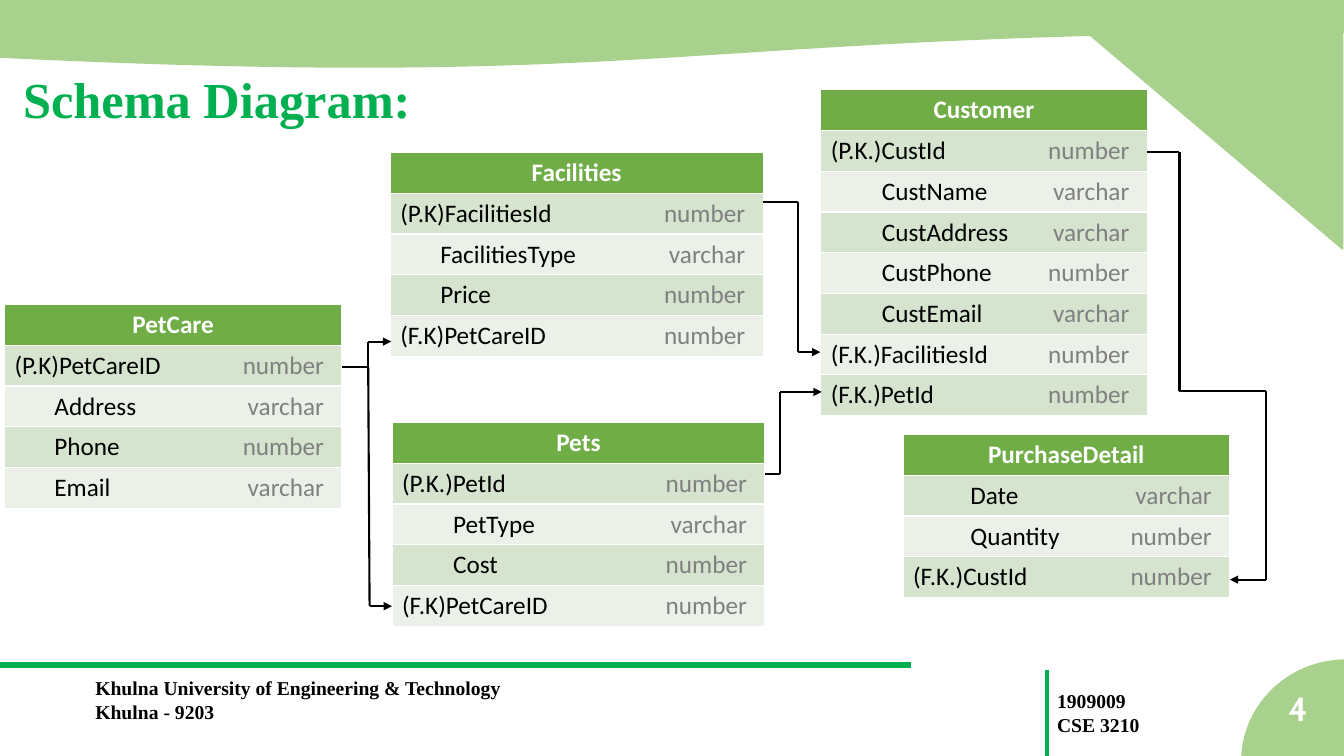
"""Build the schema diagram slide of the pet care database."""
from itertools import pairwise
from lxml import etree
from pptx import Presentation
from pptx.dml.color import RGBColor
from pptx.enum import shapes, text
from pptx.oxml import ns
from pptx.util import Pt

HUES = {"green": "00B050", "pale": "A9D18E", "head": "70AD47", "odd": "D5E3CF",
        "even": "EBF1E9", "ink": "000000", "grey": "808080", "white": "FFFFFF"}
ROW = 29.1
SERIF = "Times New Roman"
KIND = shapes.MSO_SHAPE

TABLES = [
    ("Customer", (586.2, 64.2, 233.3), 36.5, [
        ("(P.K.)CustId", "number"), ("\tCustName", "varchar"),
        ("\tCustAddress", "varchar"), ("\tCustPhone", "number"),
        ("\tCustEmail", "varchar"), ("(F.K.)FacilitiesId", "number"),
        ("(F.K.)PetId", "number")]),
    ("PetCare", (3.2, 217.6, 241), 28.5, [
        ("(P.K)PetCareID", "number"), ("\tAddress", "varchar"),
        ("\tPhone", "number"), ("\tEmail", "varchar")]),
    ("Facilities", (278.8, 109, 266.3), 28.5, [
        ("(P.K)FacilitiesId", "number"), ("\tFacilitiesType", "varchar"),
        ("\tPrice", "number"), ("(F.K)PetCareID", "number")]),
    ("Pets", (280, 301.8, 266.3), 36.5, [
        ("(P.K.)PetId", "number"), ("\tPetType", "varchar"),
        ("\tCost", "number"), ("(F.K)PetCareID", "number")]),
    ("PurchaseDetail", (645, 310.4, 233.3), 41, [
        ("\tDate", "varchar"), ("\tQuantity", "number"),
        ("(F.K.)CustId", "number")]),
]

LINKS = [
    [(244, 262), (263, 262), (263, 244), (279.5, 244)],
    [(263, 262), (264, 433), (280, 433)],
    [(545, 144.5), (570, 144.5), (570, 251.5), (586, 251.5)],
    [(546.5, 338.5), (557, 338.5), (557, 280), (587, 280)],
    [(819, 108.5), (842.5, 108.5), (842.5, 279.5), (904.5, 279.5),
     (904.5, 414), (878.5, 414)],
]


def paint(hue):
    """Return the colour of that name."""
    return RGBColor.from_string(HUES[hue])


def style(font, size, face, hue, bold=True):
    """Set all the traits of a font."""
    font.size, font.name, font.bold = Pt(size), face, bold
    font.color.rgb = paint(hue)


def write(slide, box, lines, size, face, hue, wrap=True):
    """Add a text box with one paragraph a line and return its frame."""
    frame = slide.shapes.add_textbox(*map(Pt, box)).text_frame
    frame.word_wrap = wrap
    frame.text = "\n".join(lines)
    for para in frame.paragraphs:
        style(para.font, size, face, hue)
    return frame


def shape(slide, kind, box):
    """Add a pale green shape."""
    item = slide.shapes.add_shape(kind, *map(Pt, box))
    item.shadow.inherit = False
    item.fill.solid()
    item.fill.fore_color.rgb = item.line.color.rgb = paint("pale")
    item.line.width = Pt(1)
    return item


def line(slide, start, end, hue="ink", width=1.5, arrow=False):
    """Draw a straight line, with an arrowhead if asked."""
    item = slide.shapes.add_connector(
        shapes.MSO_CONNECTOR.STRAIGHT, *map(Pt, (*start, *end)))
    item.line.color.rgb = paint(hue)
    item.line.width = Pt(width)
    if arrow:
        etree.SubElement(item.line._get_or_add_ln(), ns.qn("a:tailEnd"),
                         type="triangle")
    etree.SubElement(item._element.spPr, ns.qn("a:effectLst"))


def link(slide, route):
    """Join the points of a route and end it with an arrow."""
    legs = list(pairwise(route))
    for spot, (start, end) in enumerate(legs, 1):
        line(slide, start, end, arrow=spot == len(legs))


def tabs(para, indent, right):
    """Set a left stop for names and a right stop for types."""
    stops = etree.Element(ns.qn("a:tabLst"))
    for place, side in ((indent, "l"), (right, "r")):
        etree.SubElement(stops, ns.qn("a:tab"), pos=str(Pt(place)), algn=side)
    para._p.get_or_add_pPr().insert(0, stops)


def entity(slide, name, box, indent, fields):
    """Add the table of one entity with its typed fields."""
    left, top, width = box
    count = len(fields) + 1
    grid = slide.shapes.add_table(
        count, 1, *map(Pt, (left, top, width, ROW * count))).table
    for row in grid.rows:
        row.height = Pt(ROW)
    for spot in range(count):
        cell = grid.cell(spot, 0)
        cell.fill.solid()
        cell.fill.fore_color.rgb = paint(
            ("odd" if spot % 2 else "even") if spot else "head")
        para = cell.text_frame.paragraphs[0]
        if not spot:
            para.text = name
            para.alignment = text.PP_ALIGN.CENTER
            style(para.font, 18, "Calibri", "white")
            continue
        tabs(para, indent, width - 20)
        field, kind = fields[spot - 1]
        for part, hue in ((field + "\t", "ink"), (kind, "grey")):
            run = para.add_run()
            run.text = part
            style(run.font, 18, "Calibri", hue, False)


def header(slide, box):
    """Add the wave, the corner and the title."""
    left, top, width, _ = box
    corner = shape(slide, KIND.ISOSCELES_TRIANGLE,
                   (left + width - 203.3, top + 6.5, 202.3, 171.4))
    corner.adjustments[0] = 0
    corner.rotation = 180
    shape(slide, KIND.FLOWCHART_DOCUMENT,
          (left - 2, top - 85, width + 3.4, 134.6))
    frame = write(slide, (left + 9.4, top + 20.9, 676.8, 103.7),
                  ["Schema Diagram:"], 36, SERIF, "green")
    frame.vertical_anchor = text.MSO_ANCHOR.MIDDLE
    frame.paragraphs[0].line_spacing = 0.9


def footer(slide, box):
    """Add the rules, the credits and the page number."""
    left, top, width, _ = box
    line(slide, (left - 1, top), (left + 651, top), "green", 4.5)
    line(slide, (left + 748, top + 3.6), (left + 748, top + 133), "green", 3)
    write(slide, (left + 61, top + 4.5, 315.4, 41),
          ["Khulna University of Engineering & Technology", "Khulna - 9203"],
          14, SERIF, "ink")
    write(slide, (left + 748, top + 13.7, 122.4, 41),
          ["1909009", "CSE 3210"], 14, SERIF, "ink")
    shape(slide, KIND.OVAL, (left + width - 73, top - 3.6, 149.8, 144.7))
    write(slide, (left + width - 47, top + 13, 28, 36),
          ["4"], 24, "Cabin", "white", False)


def diagram(slide):
    """Add all the entities and the links between them."""
    for table in TABLES:
        entity(slide, *table)
    for route in LINKS:
        link(slide, route)


def main():
    """Build and save the deck."""
    deck = Presentation()
    deck.slide_width, deck.slide_height = Pt(960), Pt(540)
    slide = deck.slides.add_slide(deck.slide_layouts[6])
    header(slide, (0, 0, 960, 125))
    footer(slide, (0, 475, 960, 65))
    diagram(slide)
    deck.save("out.pptx")


main()
